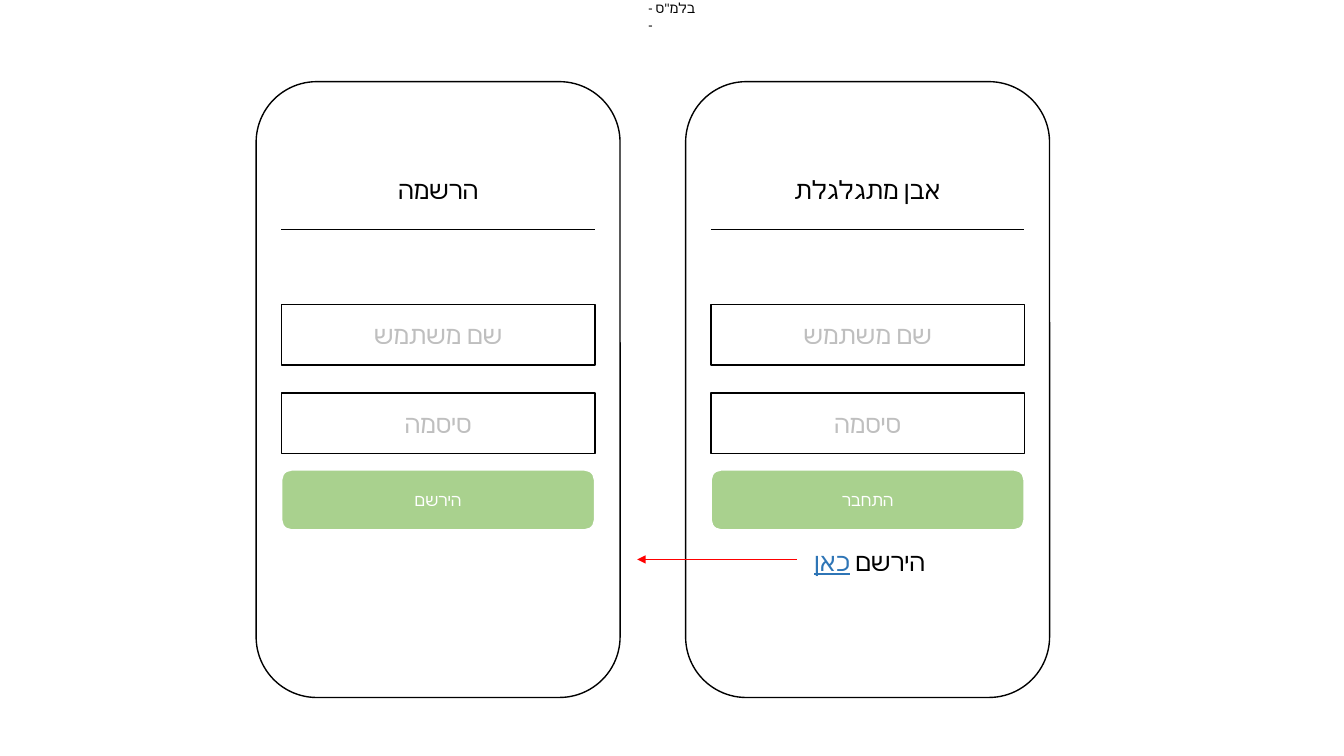
from lxml.etree import SubElement
from pptx import Presentation
from pptx.dml.color import RGBColor
from pptx.enum.shapes import MSO_CONNECTOR, MSO_SHAPE
from pptx.enum.text import MSO_ANCHOR, MSO_AUTO_SIZE, PP_ALIGN
from pptx.oxml.ns import qn
from pptx.util import Inches, Pt

FONT = "Calibri"
BLACK, WHITE, GREY = "000000", "FFFFFF", "BFBFBF"
GREEN, BLUE, RED = "A9D18E", "2E75B6", "FF0000"
PHONE_WIDTH, PHONE_HEIGHT = 3.61, 6.11
FIELD_WIDTH, FIELD_HEIGHT = 3.11, 0.6


def color(value):
    return RGBColor.from_string(value)


def write(box, spans, size, align=PP_ALIGN.CENTER, right_to_left=False):
    para = box.text_frame.paragraphs[0]
    para.alignment = align
    if right_to_left:
        para._p.get_or_add_pPr().set("rtl", "1")
    for text, value, underline in spans:
        span = para.add_run()
        span.text = text
        styles = {"name": FONT, "size": Pt(size), "underline": underline}
        for name, setting in styles.items():
            setattr(span.font, name, setting)
        span.font.color.rgb = color(value)
        SubElement(span.font._element, qn("a:cs"), typeface=FONT)


def add_label(page, left, top, width, height, spans, size=18, **options):
    box = page.shapes.add_textbox(*map(Inches, (left, top, width, height)))
    box.text_frame.word_wrap = True
    box.text_frame.auto_size = MSO_AUTO_SIZE.SHAPE_TO_FIT_TEXT
    write(box, spans, size, **options)
    return box


def add_block(page, kind, left, top, width, height, fill=WHITE, line=BLACK, line_width=1):
    box = page.shapes.add_shape(kind, *map(Inches, (left, top, width, height)))
    box.shadow.inherit = False
    box.fill.solid()
    box.fill.fore_color.rgb = color(fill)
    box.line.color.rgb = color(line)
    box.line.width = Pt(line_width)
    box.text_frame.vertical_anchor = MSO_ANCHOR.MIDDLE
    return box


def add_line(page, start, end, value, arrow=False):
    line = page.shapes.add_connector(MSO_CONNECTOR.STRAIGHT, *map(Inches, (*start, *end)))
    line.line.color.rgb = color(value)
    line.line.width = Pt(0.5)
    if arrow:
        SubElement(line.line._get_or_add_ln(), qn("a:tailEnd"), type="triangle")
    SubElement(line._element.spPr, qn("a:effectLst"))


def add_phone(page, left, top, title, button_text):
    add_block(page, MSO_SHAPE.ROUNDED_RECTANGLE, left, top, PHONE_WIDTH, PHONE_HEIGHT)
    inner = left + (PHONE_WIDTH - FIELD_WIDTH) / 2
    add_line(page, (inner, top + 1.47), (inner + FIELD_WIDTH, top + 1.47), BLACK)
    for index, hint in enumerate(("שם משתמש", "סיסמה")):
        field = add_block(page, MSO_SHAPE.RECTANGLE, inner, top + 2.21 + index * 0.88,
                          FIELD_WIDTH, FIELD_HEIGHT)
        write(field, [(hint, GREY, None)], 18)
    add_label(page, inner, top + 0.87, FIELD_WIDTH, 0.4, [(title, BLACK, None)],
              right_to_left=True)
    button = add_block(page, MSO_SHAPE.ROUNDED_RECTANGLE, inner, top + 3.85,
                       FIELD_WIDTH, FIELD_HEIGHT, GREEN, WHITE, 1.5)
    write(button, [(button_text, WHITE, None)], 12)


def add_marking(page, left, top, width, height):
    marking = add_label(page, left, top, width, height, [('- בלמ"ס -', BLACK, None)],
                        size=10, align=PP_ALIGN.LEFT)
    for side in ("left", "top", "right", "bottom"):
        setattr(marking.text_frame, f"margin_{side}", 0)


def main():
    deck = Presentation()
    deck.slide_width, deck.slide_height = Inches(13.33), Inches(7.5)
    page = deck.slides.add_slide(deck.slide_layouts[6])
    add_marking(page, 6.43, 0, 0.51, 0.17)
    add_phone(page, 6.8, 0.81, "אבן מתגלגלת", "התחבר")
    add_label(page, 7.27, 5.37, 2.71, 0.4,
              [("הירשם ", BLACK, None), ("כאן", BLUE, True)])
    add_phone(page, 2.54, 0.81, "הרשמה", "הירשם")
    add_line(page, (7.9, 5.55), (6.32, 5.55), RED, arrow=True)
    deck.save("out.pptx")


if __name__ == "__main__":
    main()
